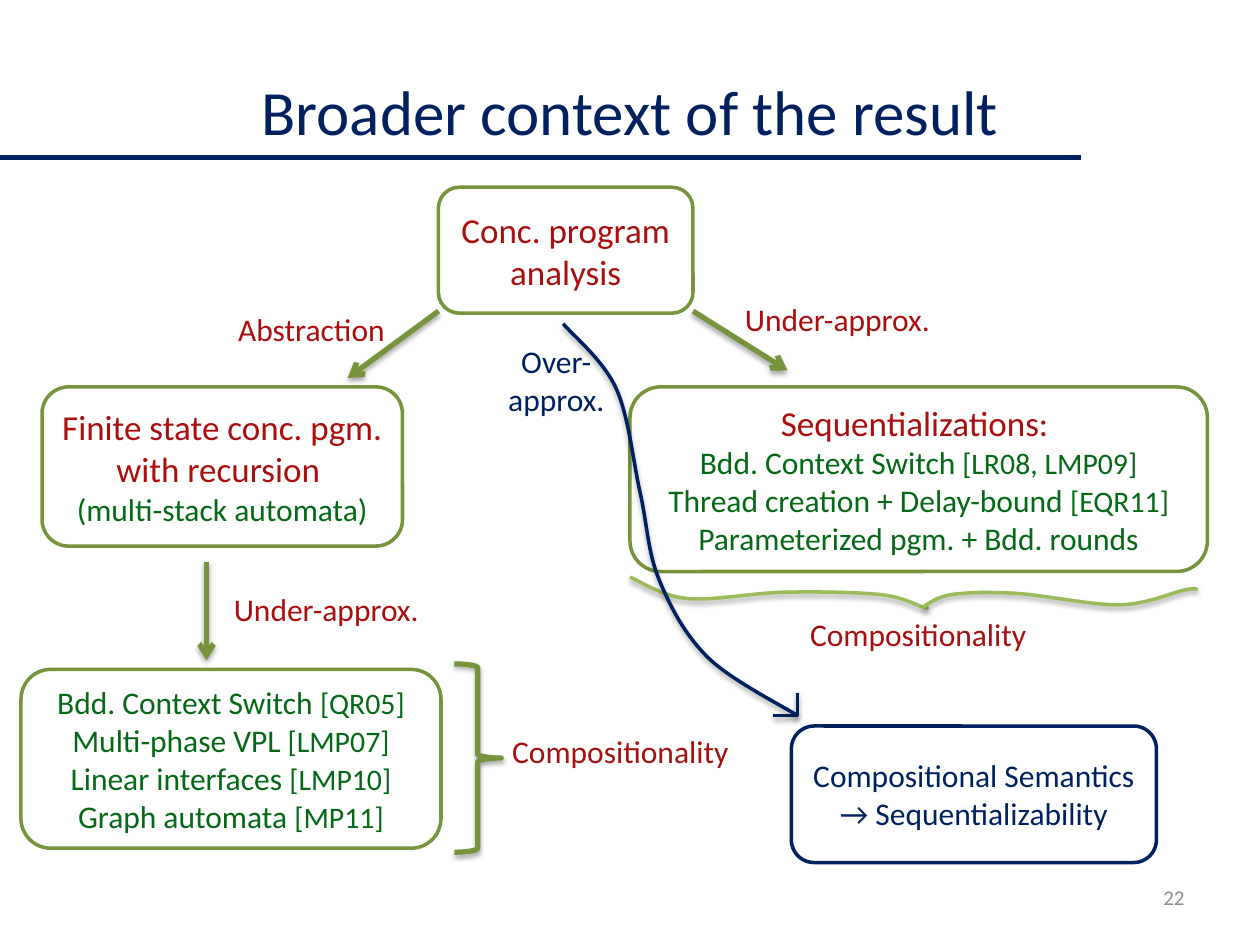
from lxml.etree import SubElement
from pptx import Presentation
from pptx.dml.color import RGBColor
from pptx.enum.shapes import MSO_CONNECTOR, MSO_SHAPE
from pptx.enum.text import MSO_ANCHOR, MSO_AUTO_SIZE, PP_ALIGN
from pptx.oxml.ns import qn
from pptx.util import Pt

COLORS = {"navy": "002060", "red": "AA0E0E", "green": "046817", "olive": "77933C",
          "lime": "9BBB59", "gray": "8C8C8C", "white": "FFFFFF", "black": "000000"}
FONT = "Calibri"


# Content: a paragraph is a list of (text, size, color) runs
def heading(text):
    return [(text, 20, "red")]


def item(text, citation=""):
    runs = [(text, 18, "green")]
    return runs + [(citation, 17, "green")] if citation else runs


# (left, top, width, height), outline, paragraphs
BOXES = [
    ((250.5, 107, 145.5, 72), "olive", [heading("Conc. program analysis")]),
    ((360, 221.1, 330, 105.5), "olive", [
        heading("Sequentializations: "),
        item("Bdd. Context Switch", " [LR08, LMP09]"),
        item("Thread creation + Delay-bound ", "[EQR11]"),
        item("Parameterized pgm. + Bdd. rounds")]),
    ((24, 221.1, 206, 91), "olive", [
        heading("Finite state conc. pgm. with recursion "),
        item("(multi-stack automata)")]),
    ((12, 382.5, 240, 102.2), "olive", [
        item("Bdd. Context Switch ", "[QR05]"),
        item("Multi-phase VPL", " [LMP07]"),
        item("Linear interfaces ", "[LMP10]"),
        item("Graph automata ", "[MP11]")]),
    ((452.2, 414.9, 208.6, 78), "navy",
     [[("Compositional Semantics → Sequentializability", 18, "navy")]]),
]
# (left, top, width, height), color, alignment, lines
LABELS = [
    ((126.5, 333.4, 121.7, 28.8), "red", PP_ALIGN.LEFT, ["Under-approx."]),
    ((129, 173.5, 100.8, 28.8), "red", PP_ALIGN.LEFT, ["Abstraction"]),
    ((418.6, 167.8, 121.7, 28.8), "red", PP_ALIGN.LEFT, ["Under-approx."]),
    ((285.6, 414.7, 140.4, 28.8), "red", PP_ALIGN.LEFT, ["Compositionality"]),
    ((455.8, 347.8, 140.4, 28.8), "red", PP_ALIGN.LEFT, ["Compositionality"]),
    ((283, 192, 69.8, 51.1), "navy", PP_ALIGN.CENTER, ["Over-", "approx."]),
]
# start, end, color, width, arrowhead, shadow
LINES = [
    ((0, 90), (617.8, 90), "navy", 3, False, False),
    ((118, 321.1), (118, 377.3), "olive", 3, True, True),
    ((250.6, 177.8), (198.7, 216), "olive", 3, True, True),
    ((396, 177.8), (450, 211.7), "olive", 3, True, True),
    ((455.8, 396), (455.8, 409), "navy", 2, False, True),
    ((455.8, 409), (442, 409), "navy", 2, False, True),
]
# Smooth curves: color and the points they pass through
CURVES = [
    ("lime", [(360, 329.8), (392.4, 342), (448.6, 338.4), (503.3, 339.8),
              (527.8, 347), (529.2, 347)]),
    ("lime", [(527, 347), (543.6, 339.8), (581, 339.1), (640, 345.6),
              (677.5, 337), (684.3, 337)]),
    ("navy", [(321.8, 185), (352, 221.8), (365.8, 281.5), (376.6, 331.2),
              (404.6, 375.8), (455.8, 409)]),
]
BRACE = (259.6, 379.4, 26.8, 107.6)


def color(name):
    return RGBColor.from_string(COLORS[name])


def write(shape, paragraphs, align=PP_ALIGN.CENTER, anchor=MSO_ANCHOR.MIDDLE, wrap=True):
    frame = shape.text_frame
    frame.word_wrap = wrap
    frame.auto_size = MSO_AUTO_SIZE.NONE if wrap else MSO_AUTO_SIZE.SHAPE_TO_FIT_TEXT
    frame.vertical_anchor = anchor
    for index, runs in enumerate(paragraphs):
        paragraph = frame.add_paragraph() if index else frame.paragraphs[0]
        paragraph.alignment = align
        for text, size, name in runs:
            run = paragraph.add_run()
            run.text = text
            run.font.name = FONT
            run.font.size = Pt(size)
            run.font.color.rgb = color(name)


def outline(shape, name, width, shadow=False):
    shape.line.color.rgb = color(name)
    shape.line.width = Pt(width)
    properties = shape._element.spPr
    for old in properties.findall(qn("a:effectLst")):
        properties.remove(old)
    effects = SubElement(properties, qn("a:effectLst"))
    if shadow:
        outer = SubElement(effects, qn("a:outerShdw"), blurRad=str(Pt(3.1)),
                           dist=str(Pt(1.8)), dir="5400000", rotWithShape="0")
        tint = SubElement(outer, qn("a:srgbClr"), val=COLORS["black"])
        SubElement(tint, qn("a:alpha"), val="35000")


def place(area):
    return [Pt(value) for value in area]


def add_curve(shapes, knots):
    """Draw a freeform through the knots and bend each segment into a Bezier."""
    points = [place(knot) for knot in knots]
    builder = shapes.build_freeform(*points[0])
    builder.add_line_segments(points[1:], close=False)
    curve = builder.convert_to_shape()
    curve.fill.background()
    padded = [points[0], *points, points[-1]]
    segments = list(curve._element.iter(qn("a:lnTo")))
    for segment, p, q, r, s in zip(segments, padded, padded[1:], padded[2:], padded[3:]):
        segment.tag = qn("a:cubicBezTo")
        leave = [b + (c - a) / 6 for a, b, c in zip(p, q, r)]
        arrive = [c - (d - b) / 6 for b, c, d in zip(q, r, s)]
        for index, (x, y) in enumerate((leave, arrive)):
            point = SubElement(segment, qn("a:pt"), x=str(round(x - curve.left)),
                               y=str(round(y - curve.top)))
            segment.insert(index, point)
    return curve


def main():
    presentation = Presentation()
    presentation.slide_width, presentation.slide_height = Pt(720), Pt(540)
    slide = presentation.slides.add_slide(presentation.slide_layouts[5])
    shapes = slide.shapes

    # Title and slide number
    title = shapes.title
    title.left, title.top, title.width, title.height = place((36, 18, 648, 90))
    write(title, [[("Broader context of the result", 36, "navy")]])
    number = shapes.add_textbox(*place((516, 498, 168, 28.8)))
    write(number, [[("22", 12, "gray")]], align=PP_ALIGN.RIGHT)

    # Boxes
    for area, line, paragraphs in BOXES:
        box = shapes.add_shape(MSO_SHAPE.ROUNDED_RECTANGLE, *place(area))
        box.fill.solid()
        box.fill.fore_color.rgb = color("white")
        outline(box, line, 2)
        write(box, paragraphs)

    # Title rule, arrows and the long curve's open head
    for start, end, name, width, arrow, shadow in LINES:
        line = shapes.add_connector(MSO_CONNECTOR.STRAIGHT, *place(start + end))
        outline(line, name, width, shadow)
        if arrow:
            SubElement(line.line._get_or_add_ln(), qn("a:tailEnd"), type="arrow")

    # Brace beside the lower left box
    brace = shapes.add_shape(MSO_SHAPE.RIGHT_BRACE, *place(BRACE))
    brace.fill.background()
    outline(brace, "olive", 3, shadow=True)

    # Curves
    for name, knots in CURVES:
        outline(add_curve(shapes, knots), name, 2, shadow=True)

    # Labels
    for area, name, align, lines in LABELS:
        label = shapes.add_textbox(*place(area))
        write(label, [[(text, 18, name)] for text in lines],
              align=align, anchor=MSO_ANCHOR.TOP, wrap=False)

    presentation.save("out.pptx")


if __name__ == "__main__":
    main()
